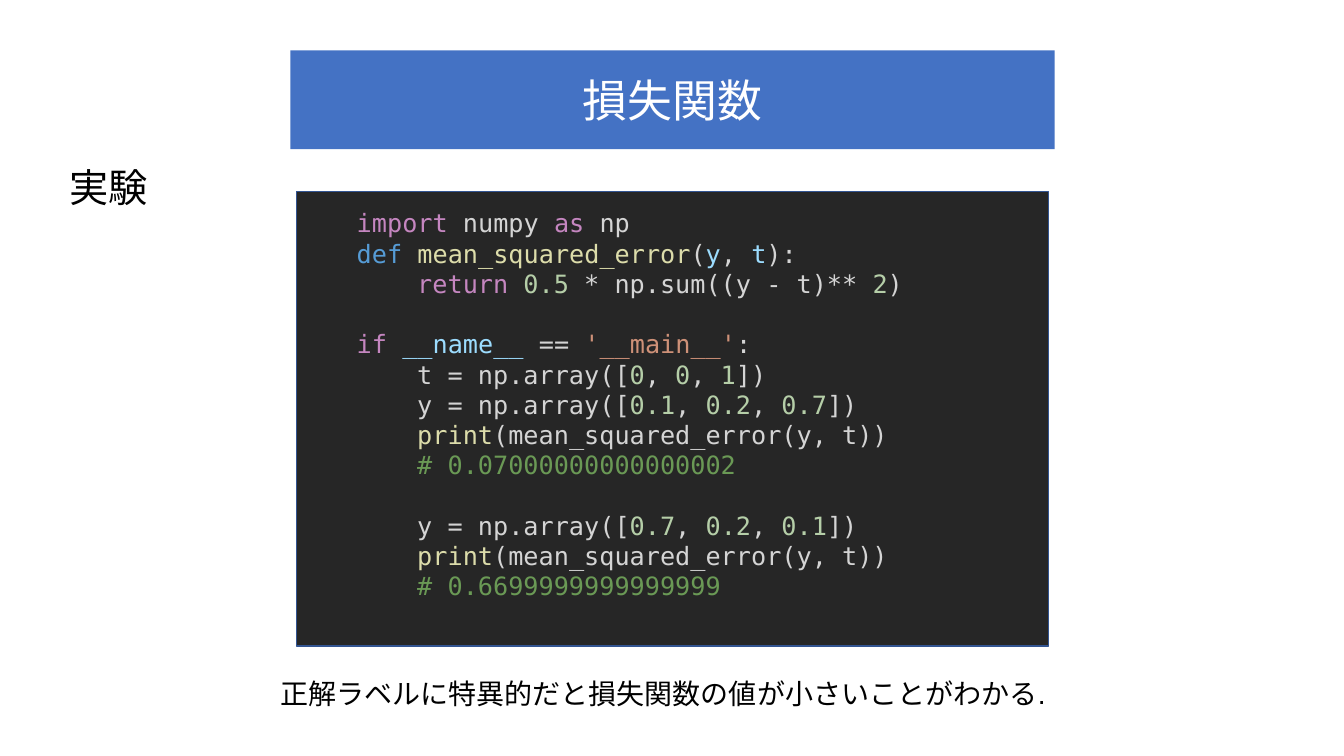
from pptx import Presentation
from pptx.dml.color import RGBColor
from pptx.enum.lang import MSO_LANGUAGE_ID as LANG
from pptx.enum.shapes import MSO_SHAPE
from pptx.enum.text import MSO_ANCHOR, PP_ALIGN
from pptx.util import Inches, Pt

COLORS = {
    "banner": "4472C4", "white": "FFFFFF", "black": "000000",
    "panel": "262626", "border": "325491",
    "plain": "D4D4D4", "keyword": "C586C0", "def": "569CD6",
    "function": "DCDCAA", "variable": "9CDCFE", "number": "B5CEA8",
    "string": "CE9178", "comment": "6A9955",
}
LINE_PITCH = Pt(21.6)


def rgb(name):
    return RGBColor.from_string(COLORS[name])


def style(r, size, color, font="Arial"):
    r.font.size = Pt(size)
    r.font.name = font
    r.font.color.rgb = rgb(color)


def place(sp, box):
    sp.left, sp.top, sp.width, sp.height = [Inches(v) for v in box]


def add_banner(s, box, text):
    sp = s.shapes.title
    place(sp, box)
    sp.fill.solid()
    sp.fill.fore_color.rgb = rgb("banner")
    tf = sp.text_frame
    tf.text = text
    tf.vertical_anchor = MSO_ANCHOR.MIDDLE
    p = tf.paragraphs[0]
    p.alignment = PP_ALIGN.CENTER
    style(p.runs[0], 32, "white")
    p.runs[0].font.language_id = LANG.JAPANESE


def add_label(s, box, text, size):
    tf = s.shapes.add_textbox(*[Inches(v) for v in box]).text_frame
    tf.word_wrap = True
    tf.text = text
    p = tf.paragraphs[0]
    p.line_spacing = 0.9
    p.space_after = Pt(10)
    style(p.runs[0], size, "black")
    p.runs[0].font.language_id = LANG.JAPANESE


def array_line(name, values):
    tokens = [(f"{name} = np.array([", "plain")]
    for i, value in enumerate(values):
        if i:
            tokens.append((", ", "plain"))
        tokens.append((value, "number"))
    return 1, tokens + [("])", "plain")]


def print_lines(result):
    return [
        (1, [("print", "function"), ("(mean_squared_error(y, t))", "plain")]),
        (1, [(f"# {result}", "comment")]),
    ]


def add_code(s, box, blocks):
    sp = s.shapes.add_shape(MSO_SHAPE.RECTANGLE, *[Inches(v) for v in box])
    sp.shadow.inherit = False
    sp.fill.solid()
    sp.fill.fore_color.rgb = rgb("panel")
    sp.line.color.rgb = rgb("border")
    sp.line.width = Pt(1)
    tf = sp.text_frame
    tf.word_wrap = True
    tf.vertical_anchor = MSO_ANCHOR.TOP
    tf.margin_top = Inches(0.16)
    p = tf.paragraphs[0]
    for b, block in enumerate(blocks):
        for i, (depth, tokens) in enumerate(block):
            if b or i:
                p = tf.add_paragraph()
            p.alignment = PP_ALIGN.LEFT
            p.line_spacing = LINE_PITCH
            p.space_before = LINE_PITCH if b and not i else Pt(0)
            pPr = p._p.get_or_add_pPr()
            pPr.set("marL", str(Inches(0.5 + 0.6 * depth)))
            pPr.set("indent", "0")
            for text, kind in tokens:
                r = p.add_run()
                r.text = text
                style(r, 18, kind, "DejaVu Sans Mono")


CODE = [
    [
        (0, [("import ", "keyword"), ("numpy ", "plain"),
             ("as", "keyword"), (" np", "plain")]),
        (0, [("def ", "def"), ("mean_squared_error", "function"), ("(", "plain"),
             ("y", "variable"), (", ", "plain"), ("t", "variable"), ("):", "plain")]),
        (1, [("return ", "keyword"), ("0.5", "number"),
             (" * np.sum((y - t)** ", "plain"), ("2", "number"), (")", "plain")]),
    ],
    [
        (0, [("if ", "keyword"), ("__name__", "variable"), (" == ", "plain"),
             ("'__main__'", "string"), (":", "plain")]),
        array_line("t", ["0", "0", "1"]),
        array_line("y", ["0.1", "0.2", "0.7"]),
        *print_lines("0.07000000000000002"),
    ],
    [
        array_line("y", ["0.7", "0.2", "0.1"]),
        *print_lines("0.6699999999999999"),
    ],
]

prs = Presentation()
prs.slide_width, prs.slide_height = Inches(13.33), Inches(7.5)
s = prs.slides.add_slide(prs.slide_layouts[5])
add_banner(s, (2.88, 0.5, 7.58, 0.98), "損失関数")
add_label(s, (0.59, 1.62, 7.86, 0.57), "実験", 28)
add_label(s, (2.68, 6.7, 9.52, 0.44),
          "正解ラベルに特異的だと損失関数の値が小さいことがわかる.", 20)
add_code(s, (2.94, 1.9, 7.46, 4.51), CODE)
prs.save("out.pptx")
